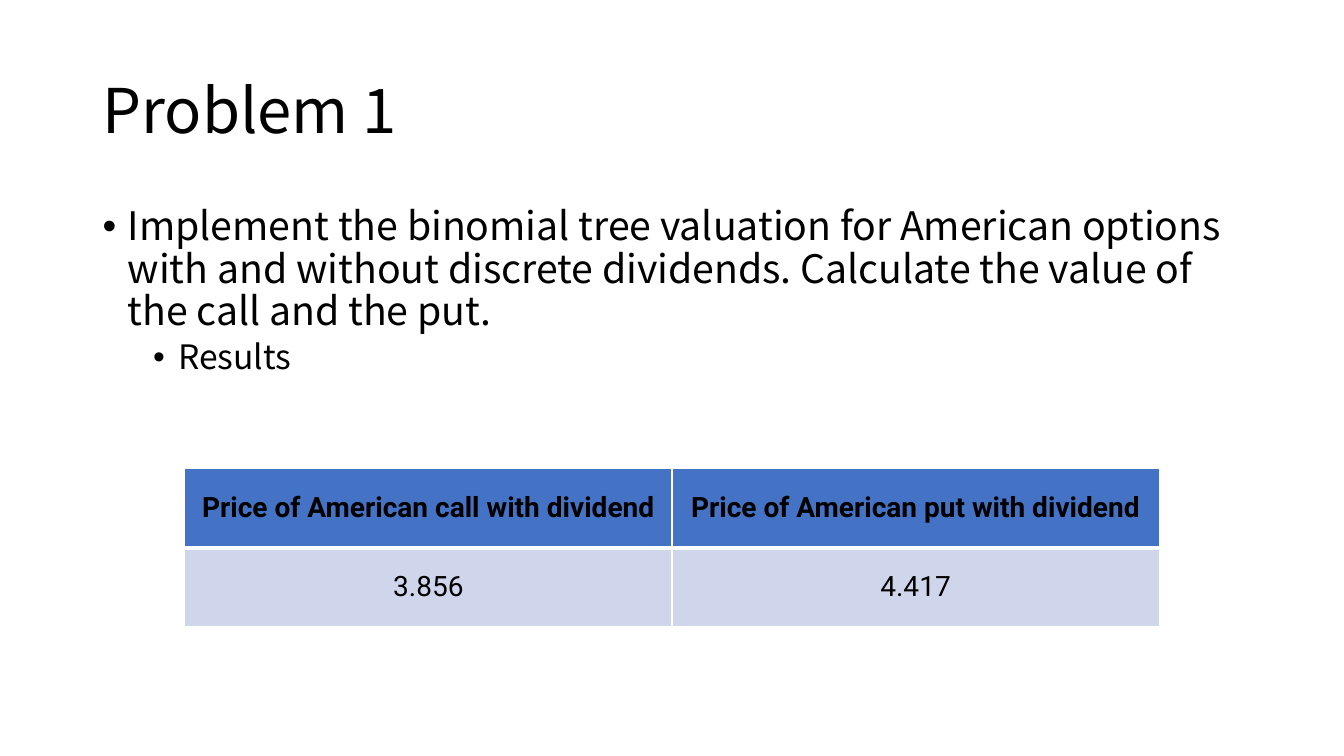
from lxml.etree import SubElement
from pptx import Presentation
from pptx.dml.color import RGBColor
from pptx.enum.text import MSO_ANCHOR as Anchor, PP_ALIGN as Align
from pptx.oxml import parse_xml
from pptx.oxml.ns import nsdecls, qn
from pptx.util import Inches, Pt

WIDTH, HEIGHT = Inches(13.33), Inches(7.5)
COLORS = {"text": "000000", "header": "4472C4", "value": "CFD5EA", "rule": "FFFFFF"}
TEXT_FONT, TABLE_FONT = "Noto Sans CJK SC", "Roboto"

# Shares of the slide's width and height: left, top, width, height
TITLE_AREA = (0.069, 0.053, 0.863, 0.193)
BODY_AREA = (0.069, 0.267, 0.863, 0.635)
TABLE_AREA = (0.1375, 0.62, 0.725, 0.209)

TASK = ("Implement the binomial tree valuation for American options with and "
        "without discrete dividends. Calculate the value of the call and the put.")
PRICES = [
    ["Price of American call with dividend", "Price of American put with dividend"],
    ["3.856", "4.417"],
]


def place(area):
    left, top, width, height = area
    return (round(left * WIDTH), round(top * HEIGHT),
            round(width * WIDTH), round(height * HEIGHT))


def write(paragraph, text, size, font, bold=False):
    paragraph.text = text
    for run in paragraph.runs:
        run.font.size = Pt(size)
        run.font.name = font
        run.font.bold = bold
        run.font.color.rgb = RGBColor.from_string(COLORS["text"])


def add_text_area(slide, area, anchor):
    frame = slide.shapes.add_textbox(*place(area)).text_frame
    frame.word_wrap = True
    frame.vertical_anchor = anchor
    return frame


def add_title(slide, text):
    title = add_text_area(slide, TITLE_AREA, Anchor.MIDDLE).paragraphs[0]
    write(title, text, 44, TEXT_FONT)
    title.line_spacing = 0.9


def add_bullets(slide, items):
    frame = add_text_area(slide, BODY_AREA, Anchor.TOP)
    for index, (level, text, size, space) in enumerate(items):
        bullet = frame.add_paragraph() if index else frame.paragraphs[0]
        write(bullet, text, size, TEXT_FONT)
        bullet.level = level
        bullet.line_spacing = 0.9
        bullet.space_before = Pt(space)
        # Hanging indent and bullet mark
        props = bullet._p.get_or_add_pPr()
        props.set("marL", str(Inches(0.25 + 0.5 * level)))
        props.set("indent", str(Inches(-0.25)))
        SubElement(props, qn("a:buFont"), typeface="Arial")
        SubElement(props, qn("a:buChar"), char="•")


def set_borders(cell, widths):
    props = cell._tc.get_or_add_tcPr()
    for index, (side, width) in enumerate(widths.items()):
        props.insert(index, parse_xml(
            f'<a:ln{side} {nsdecls("a")} w="{Pt(width)}"><a:solidFill>'
            f'<a:srgbClr val="{COLORS["rule"]}"/></a:solidFill></a:ln{side}>'))


def add_price_table(slide, rows):
    frame = slide.shapes.add_table(len(rows), len(rows[0]), *place(TABLE_AREA))
    for row_index, row in enumerate(rows):
        is_header = row_index == 0
        for column_index, text in enumerate(row):
            cell = frame.table.cell(row_index, column_index)
            cell.vertical_anchor = Anchor.MIDDLE
            cell.fill.solid()
            fill = COLORS["header" if is_header else "value"]
            cell.fill.fore_color.rgb = RGBColor.from_string(fill)
            price = cell.text_frame.paragraphs[0]
            write(price, text, 20, TABLE_FONT, bold=is_header)
            price.alignment = Align.CENTER
            # The heavy rule separates the header from the values
            set_borders(cell, {"L": 1, "R": 1, "T": 1 if is_header else 3,
                               "B": 3 if is_header else 1})


def main():
    deck = Presentation()
    deck.slide_width, deck.slide_height = WIDTH, HEIGHT
    slide = deck.slides.add_slide(deck.slide_layouts[6])
    add_title(slide, "Problem 1")
    add_bullets(slide, [(0, TASK, 28, 10), (1, "Results", 24, 5)])
    add_price_table(slide, PRICES)
    deck.save("out.pptx")


if __name__ == "__main__":
    main()
